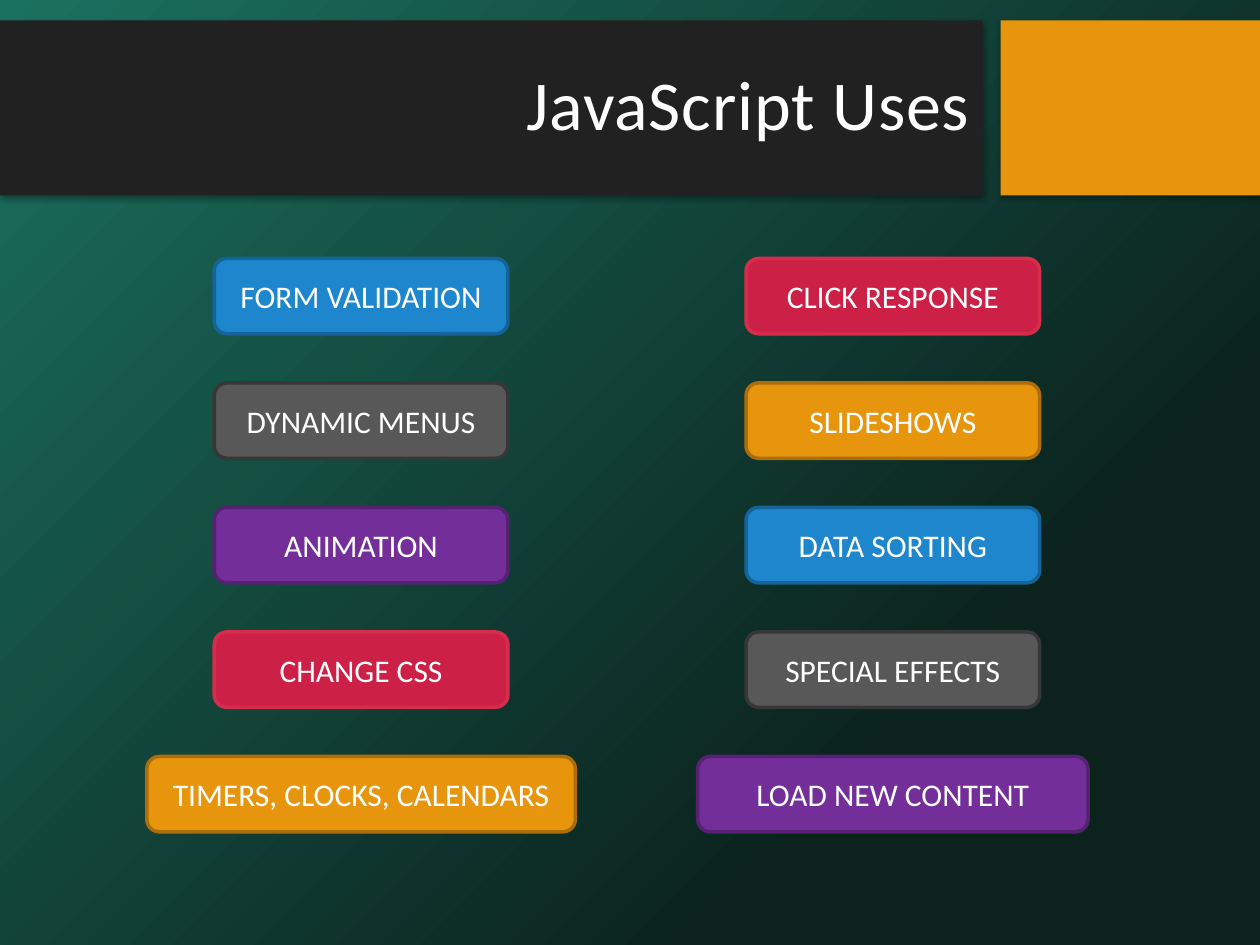
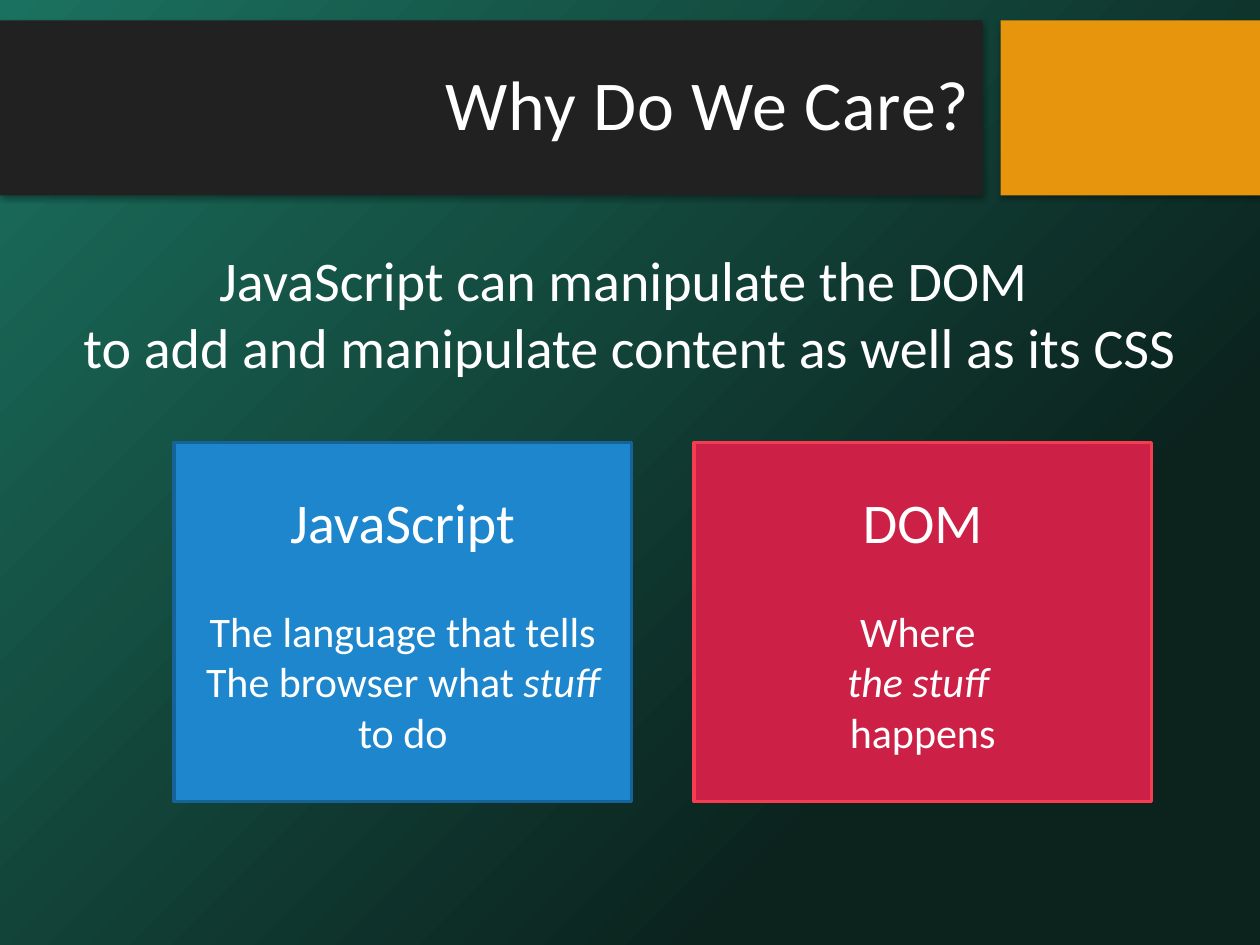
"""Build two slides on what JavaScript is used for and why it matters."""
from dataclasses import dataclass

from lxml import etree
from pptx import Presentation
from pptx.dml.color import RGBColor
from pptx.enum.shapes import MSO_SHAPE
from pptx.enum.text import MSO_ANCHOR, MSO_AUTO_SIZE, PP_ALIGN
from pptx.oxml import parse_xml
from pptx.oxml.ns import qn
from pptx.util import Cm, Pt

RECTANGLE = MSO_SHAPE.RECTANGLE
ROUNDED = MSO_SHAPE.ROUNDED_RECTANGLE
MIDDLE = MSO_ANCHOR.MIDDLE
CENTER, RIGHT = PP_ALIGN.CENTER, PP_ALIGN.RIGHT
DRAWING_NS = "http://schemas.openxmlformats.org/drawingml/2006/main"


@dataclass(frozen=True)
class Theme:
    font: str = "Calibri"
    text: str = "FFFFFF"
    glow: str = "1B715F"
    deep: str = "0B221D"
    band: str = "212121"
    blue: tuple = ("1D86CD", "156398")
    gray: tuple = ("585858", "373737")
    purple: tuple = ("732E9A", "552272")
    red: tuple = ("CC2046", "D72D4D")
    orange: tuple = ("E8950E", "AC6E0A")
    bright_red: tuple = ("CC2046", "F73C52")
    title_size: int = 40
    lead_size: int = 32
    body_size: int = 24
    label_size: int = 18
    edge_width: int = 2


THEME = Theme()


def draw_box(page, kind, place, fill, edge=None):
    """Draw a filled shape at a place given in centimetres."""
    box = page.shapes.add_shape(kind, *(Cm(length) for length in place))
    box.shadow.inherit = False
    box.fill.solid()
    box.fill.fore_color.rgb = RGBColor.from_string(fill)
    if edge:
        box.line.color.rgb = RGBColor.from_string(edge)
        box.line.width = Pt(THEME.edge_width)
    else:
        box.line.fill.background()
    return box


def write_line(para, spans, size, align=CENTER):
    """Write (text, italic) spans into a paragraph in the theme's type."""
    for text, italic in spans:
        span = para.add_run()
        span.text = text
        if italic:
            span.font.italic = True
    para.alignment = align
    para.font.name = THEME.font
    para.font.size = Pt(size)
    para.font.color.rgb = RGBColor.from_string(THEME.text)


deck = Presentation()
deck.slide_width, deck.slide_height = Cm(25.4), Cm(19.05)
layout = deck.slide_layouts[5]

pages = []
for title_text in ("JavaScript Uses", "Why Do We Care?"):
    page = deck.slides.add_slide(layout)
    title = page.shapes.title
    title.left, title.top = Cm(0), Cm(0.58)
    title.width, title.height = Cm(19.81), Cm(3.18)
    frame = title.text_frame
    frame.word_wrap = True
    frame.auto_size = MSO_AUTO_SIZE.NONE
    frame.vertical_anchor = MIDDLE
    para = frame.paragraphs[0]
    write_line(para, [(title_text, False)], THEME.title_size, RIGHT)
    para.line_spacing = 0.9
    para.runs[0].font.size = Pt(THEME.title_size)
    para.runs[0].font._element.set("spc", "50")
    pages.append(page)
uses_page, care_page = pages

backdrop = draw_box(uses_page, RECTANGLE, (0, 0, 25.4, 19.05), THEME.deep)
gradient = parse_xml(
    f'<a:gradFill xmlns:a="{DRAWING_NS}" rotWithShape="1"><a:gsLst>'
    f'<a:gs pos="0"><a:srgbClr val="{THEME.glow}"/></a:gs>'
    f'<a:gs pos="75000"><a:srgbClr val="{THEME.deep}"/></a:gs></a:gsLst>'
    '<a:path path="circle"><a:fillToRect r="100000" b="100000"/></a:path>'
    "</a:gradFill>"
)
solid = backdrop.element.spPr.find(qn("a:solidFill"))
solid.getparent().replace(solid, gradient)

title_band = draw_box(uses_page, RECTANGLE, (0, 0.41, 19.81, 3.53), THEME.band)
accent_band = draw_box(
    uses_page, RECTANGLE, (20.17, 0.41, 5.23, 3.53), THEME.orange[0]
)
for band in (title_band, accent_band):
    effects = band.element.spPr.find(qn("a:effectLst"))
    shadow = etree.SubElement(
        effects, qn("a:outerShdw"),
        blurRad=str(Pt(3.1)), dist=str(Pt(1.8)), dir="5400000", rotWithShape="0",
    )
    color = etree.SubElement(shadow, qn("a:srgbClr"), val="000000")
    etree.SubElement(color, qn("a:alpha"), val="35000")

layout_tree = layout.element.cSld.spTree
for order, part in enumerate((backdrop, title_band, accent_band)):
    part.element.nvSpPr.cNvPr.set("id", str(20 + order))
    layout_tree.insert(2 + order, part.element)

color_cycle = (THEME.blue, THEME.gray, THEME.purple, THEME.red, THEME.orange)
use_columns = (
    (7.28, 0, 8.64, ("FORM VALIDATION", "DYNAMIC MENUS", "ANIMATION",
                     "CHANGE CSS", "TIMERS, CLOCKS, CALENDARS")),
    (18.0, 3, 7.87, ("CLICK RESPONSE", "SLIDESHOWS", "DATA SORTING",
                     "SPECIAL EFFECTS", "LOAD NEW CONTENT")),
)
for center, color_shift, last_width, labels in use_columns:
    for row, label in enumerate(labels):
        width = last_width if row == len(labels) - 1 else 5.92
        place = (center - width / 2, 5.21 + 2.51 * row, width, 1.52)
        colors = color_cycle[(row + color_shift) % len(color_cycle)]
        box = draw_box(uses_page, ROUNDED, place, *colors)
        box.text_frame.word_wrap = True
        box.text_frame.vertical_anchor = MIDDLE
        write_line(box.text_frame.paragraphs[0], [(label, False)], THEME.label_size)

lead = care_page.shapes.add_textbox(Cm(1.27), Cm(4.83), Cm(22.86), Cm(4.42))
lead.text_frame.word_wrap = True
lead_para = lead.text_frame.paragraphs[0]
lead_para.text = (
    "JavaScript can manipulate the DOM \v"
    "to add and manipulate content as well as its CSS"
)
write_line(lead_para, [], THEME.lead_size)

cards = (
    (3.51, THEME.blue, "JavaScript", (
        [("The language that tells", False)],
        [("The browser what ", False), ("stuff", True), (" to do", False)],
    )),
    (13.99, THEME.bright_red, "DOM", (
        [("Where ", False)],
        [("the stuff ", True)],
        [("happens", False)],
    )),
)
for left, colors, heading, lines in cards:
    card = draw_box(care_page, RECTANGLE, (left, 8.92, 9.22, 7.24), *colors)
    frame = card.text_frame
    frame.word_wrap = True
    frame.vertical_anchor = MIDDLE
    heading_para = frame.paragraphs[0]
    write_line(heading_para, [(heading, False)], THEME.lead_size)
    heading_para.space_after = Pt(29)
    for spans in lines:
        write_line(frame.add_paragraph(), spans, THEME.body_size)

deck.save("out.pptx")
